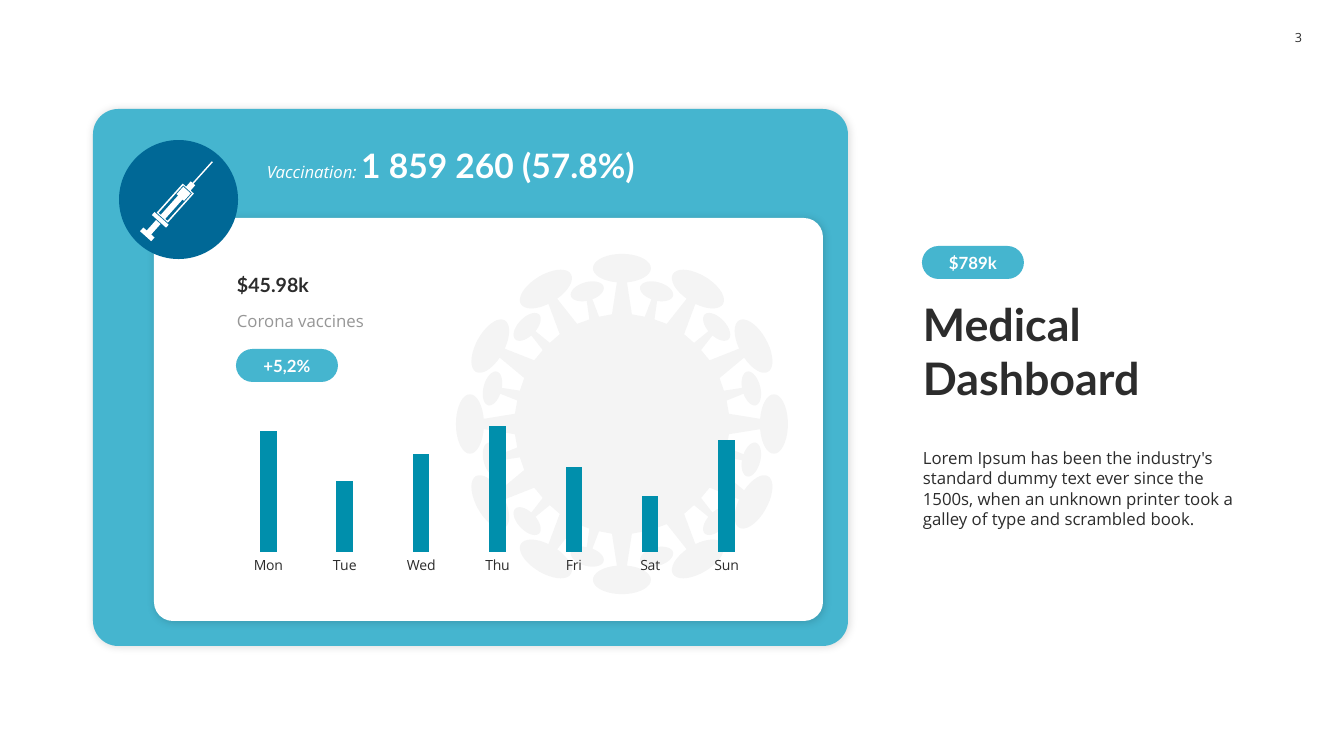
import math

import pptx
import pptx.chart.data
import pptx.dml.color
import pptx.enum.chart
import pptx.enum.shapes
import pptx.enum.text
import pptx.oxml
import pptx.oxml.ns
import pptx.util

SCALE = 12192000 / 1344
COLORS = {"panel": "45B5CF", "white": "FFFFFF", "ink": "2C2C2C",
          "grey": "969696", "navy": "006896", "bar": "008FAC"}
SHAPES = pptx.enum.shapes.MSO_SHAPE
ANCHORS = pptx.enum.text.MSO_ANCHOR
NAMESPACES = pptx.oxml.ns.nsdecls("a", "c")


def px(length):
    return pptx.util.Emu(round(length * SCALE))


def color(name):
    return pptx.dml.color.RGBColor.from_string(COLORS[name])


class Dashboard:
    """Draws styled elements on the current slide."""

    def __init__(self, slide):
        self.slide = slide

    def style_font(self, font, size, name, ink, bold=False, italic=False):
        font.size, font.name = pptx.util.Pt(size), name
        font.bold, font.italic = bold, italic
        font.color.rgb = color(ink)

    def paint(self, shape, fill):
        shape.shadow.inherit = False
        shape.fill.solid()
        shape.fill.fore_color.rgb = color(fill)
        shape.line.fill.background()
        return shape

    def shape(self, kind, box, fill, radius=None):
        shape = self.slide.shapes.add_shape(kind, *map(px, box))
        if radius is not None:
            shape.adjustments[0] = radius
        return self.paint(shape, fill)

    def card(self, box, fill):
        shape = self.shape(SHAPES.ROUNDED_RECTANGLE, box, fill, 0.047)
        effects = shape._element.spPr.find(pptx.oxml.ns.qn("a:effectLst"))
        effects.append(pptx.oxml.parse_xml(
            f'<a:outerShdw {NAMESPACES} blurRad="76200" dist="12700" dir="2700000">'
            '<a:srgbClr val="000000"><a:alpha val="15000"/></a:srgbClr></a:outerShdw>'))

    def label(self, box, text, fill, size, font, ink, radius=None, bold=False):
        shape = self.shape(SHAPES.ROUNDED_RECTANGLE, box, fill, radius)
        frame = shape.text_frame
        frame.margin_left = frame.margin_right = 0
        frame.margin_top = frame.margin_bottom = 0
        frame.vertical_anchor = ANCHORS.MIDDLE
        frame.word_wrap = False
        paragraph = frame.paragraphs[0]
        paragraph.text = text
        paragraph.alignment = pptx.enum.text.PP_ALIGN.CENTER
        self.style_font(paragraph.font, size, font, ink, bold)

    def pill(self, left, top, text):
        self.label((left, top, 102, 33), text, "panel", 12, "Lato", "white", 0.5, True)

    def text_frame(self, box, anchor):
        frame = self.slide.shapes.add_textbox(*map(px, box)).text_frame
        frame.word_wrap = True
        frame.auto_size = pptx.enum.text.MSO_AUTO_SIZE.SHAPE_TO_FIT_TEXT
        frame.vertical_anchor = anchor
        return frame

    def text(self, box, text, size, font, ink, bold=False, anchor=ANCHORS.TOP):
        paragraph = self.text_frame(box, anchor).paragraphs[0]
        paragraph.text = text
        self.style_font(paragraph.font, size, font, ink, bold)

    def headline(self, box, caption, figure):
        paragraph = self.text_frame(box, ANCHORS.TOP).paragraphs[0]
        for text, size, font, bold in ((caption, 12, "Open Sans", False),
                                       (figure, 24, "Lato", True)):
            run = paragraph.add_run()
            run.text = text
            self.style_font(run.font, size, font, "white", bold, not bold)

    def outline(self, contours, fill):
        contours = [[(px(x), px(y)) for x, y in contour] for contour in contours]
        builder = self.slide.shapes.build_freeform(*contours[0][0])
        for number, contour in enumerate(contours):
            if number:
                builder.move_to(*contour[0])
            builder.add_line_segments(contour[1:], close=True)
        return self.paint(builder.convert_to_shape(), fill)

    def syringe(self, center_x, center_y):
        along_x, along_y = 0.667, -0.745
        needle = [(50, 0.7), (21, 0.7)]
        tip = [(21, 3), (14, 3)]
        fluid = [(12, 5), (2, 5), (2, 3), (-24, 3)]
        barrel_inside = [(13, 6), (-24, 6)]
        barrel = [(14, 7.5), (-25, 7.5)]
        flange = [(-26, 9.5), (-30, 9.5)]
        plunger = [(-31, 3), (-45, 3), (-45, 7.5), (-50, 7.5)]
        contours = []
        for half in (needle, tip, fluid, barrel_inside, barrel, flange, plunger):
            profile = half + [(u, -v) for u, v in reversed(half)]
            contours.append([(center_x + u * along_x - v * along_y,
                              center_y + u * along_y + v * along_x) for u, v in profile])
        self.outline(contours, "white")

    def virus(self, center_x, center_y):
        body, stretch = 107, 1.025
        points = []
        for number in range(24):
            distance, width, height, base = (134, 17, 9, 5) if number % 2 else (152, 29, 14, 10)
            angles = [math.radians(degrees) for degrees in range(-10, -351, -10)]
            head = [(width * math.sin(a), distance - height * math.cos(a)) for a in angles]
            turn = math.radians(15 * number)
            for across, out in [(-base, body), *head, (base, body)]:
                x = across * math.cos(turn) + out * math.sin(turn)
                y = across * math.sin(turn) - out * math.cos(turn)
                points.append((center_x + x, center_y + y * stretch))
        shape = self.outline([points], "ink")
        for tint in shape._element.spPr.iter(pptx.oxml.ns.qn("a:srgbClr")):
            tint.append(pptx.oxml.parse_xml(f'<a:alpha {NAMESPACES} val="5000"/>'))

    def chart(self, box, categories, values):
        data = pptx.chart.data.CategoryChartData()
        data.categories = categories
        data.add_series("Series 1", values)
        chart = self.slide.shapes.add_chart(
            pptx.enum.chart.XL_CHART_TYPE.COLUMN_CLUSTERED, *map(px, box), data).chart
        chart.has_legend = chart.has_title = False
        self.style_font(chart.font, 12, "Open Sans", "ink")
        value_axis, category_axis = chart.value_axis, chart.category_axis
        value_axis.minimum_scale, value_axis.maximum_scale = 0, 100
        value_axis.has_major_gridlines = value_axis.visible = False
        category_axis.major_tick_mark = pptx.enum.chart.XL_TICK_MARK.NONE
        category_axis.format.line.fill.background()
        self.style_font(category_axis.tick_labels.font, 10, "Open Sans", "ink")
        plot = chart.plots[0]
        plot.gap_width, plot.overlap, plot.vary_by_categories = 360, -30, False
        fill = plot.series[0].format.fill
        fill.solid()
        fill.fore_color.rgb = color("bar")
        area = chart._chartSpace.chart.plotArea
        for layout in area.findall(pptx.oxml.ns.qn("c:layout")):
            area.remove(layout)
        area.insert(0, pptx.oxml.parse_xml(
            f'<c:layout {NAMESPACES}><c:manualLayout><c:layoutTarget val="inner"/>'
            '<c:xMode val="edge"/><c:yMode val="edge"/><c:x val="0.02"/><c:y val="0.1"/>'
            '<c:w val="0.96"/><c:h val="0.745"/></c:manualLayout></c:layout>'))


def main():
    presentation = pptx.Presentation()
    presentation.slide_width, presentation.slide_height = px(1344), px(756)
    board = Dashboard(presentation.slides.add_slide(presentation.slide_layouts[6]))

    board.card((93, 109, 755, 537), "panel")
    board.label((1279, 18, 39, 39), "3", "white", 9, "Open Sans", "ink")
    board.text((913, 290, 339, 119), "Medical Dashboard", 32, "Lato", "ink", True, ANCHORS.BOTTOM)
    board.text((913, 443, 339, 92),
               "Lorem Ipsum has been the industry's standard dummy text ever since the 1500s, "
               "when an unknown printer took a galley of type and scrambled book.",
               12, "Open Sans", "ink")
    board.pill(922, 246, "$789k")

    board.card((154, 218, 669, 403), "white")
    board.headline((257, 140, 526, 50), "Vaccination: ", "1 859 260 (57.8%)")
    board.shape(SHAPES.OVAL, (119, 140, 119, 119), "navy")
    board.syringe(179, 199)

    board.text((227, 267, 505, 34), "$45.98k", 14, "Lato", "ink", True, ANCHORS.BOTTOM)
    board.text((227, 306, 505, 30), "Corona vaccines", 12, "Open Sans", "grey")
    board.pill(236, 349, "+5,2%")
    board.virus(622, 424)
    board.chart((219, 409, 557, 169), ["Mon", "Tue", "Wed", "Thu", "Fri", "Sat", "Sun"],
                [96, 56, 78, 100, 67, 44, 89])

    presentation.save("out.pptx")


if __name__ == "__main__":
    main()
